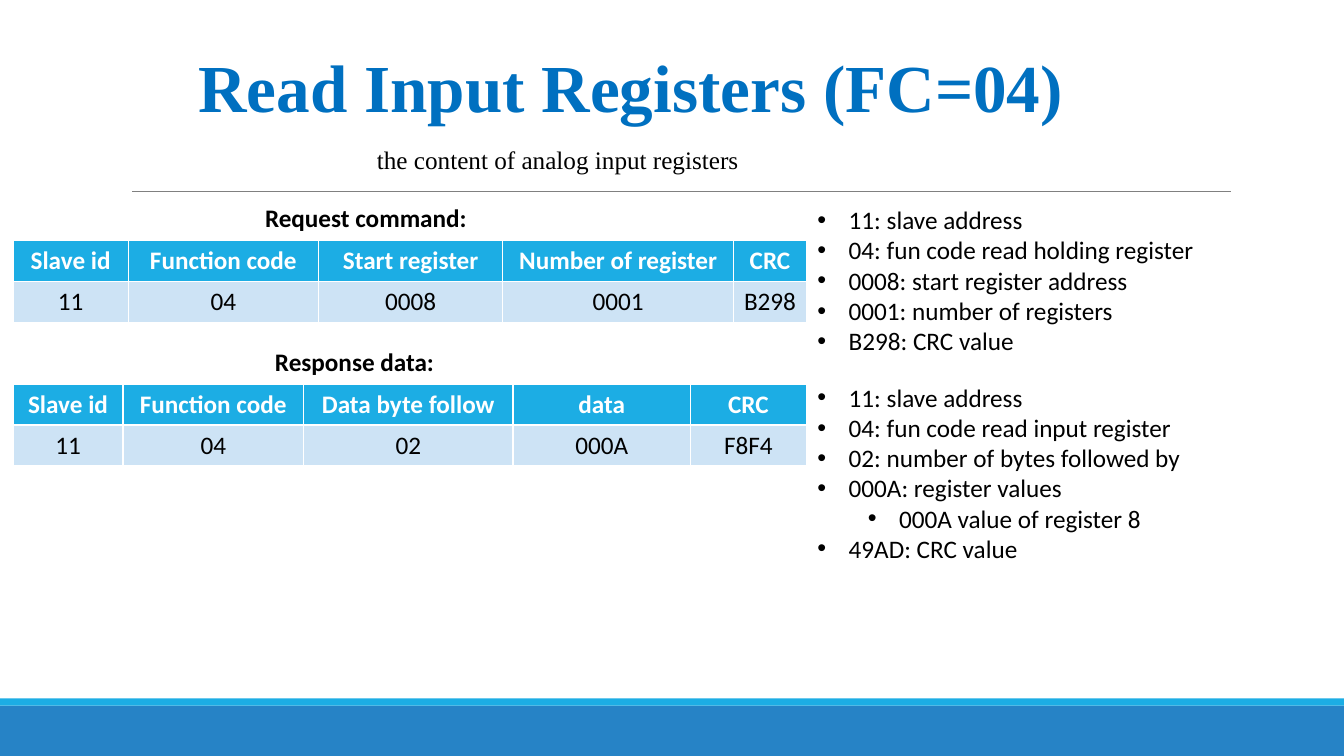
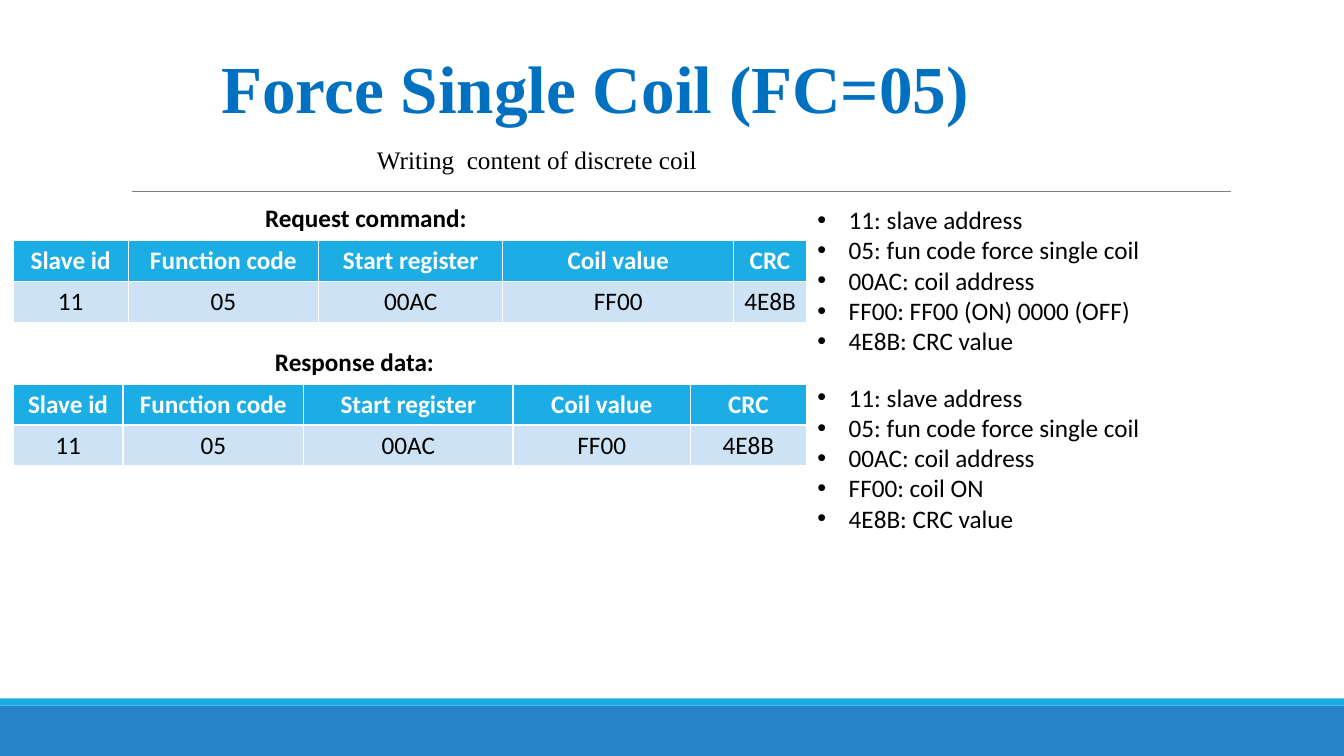
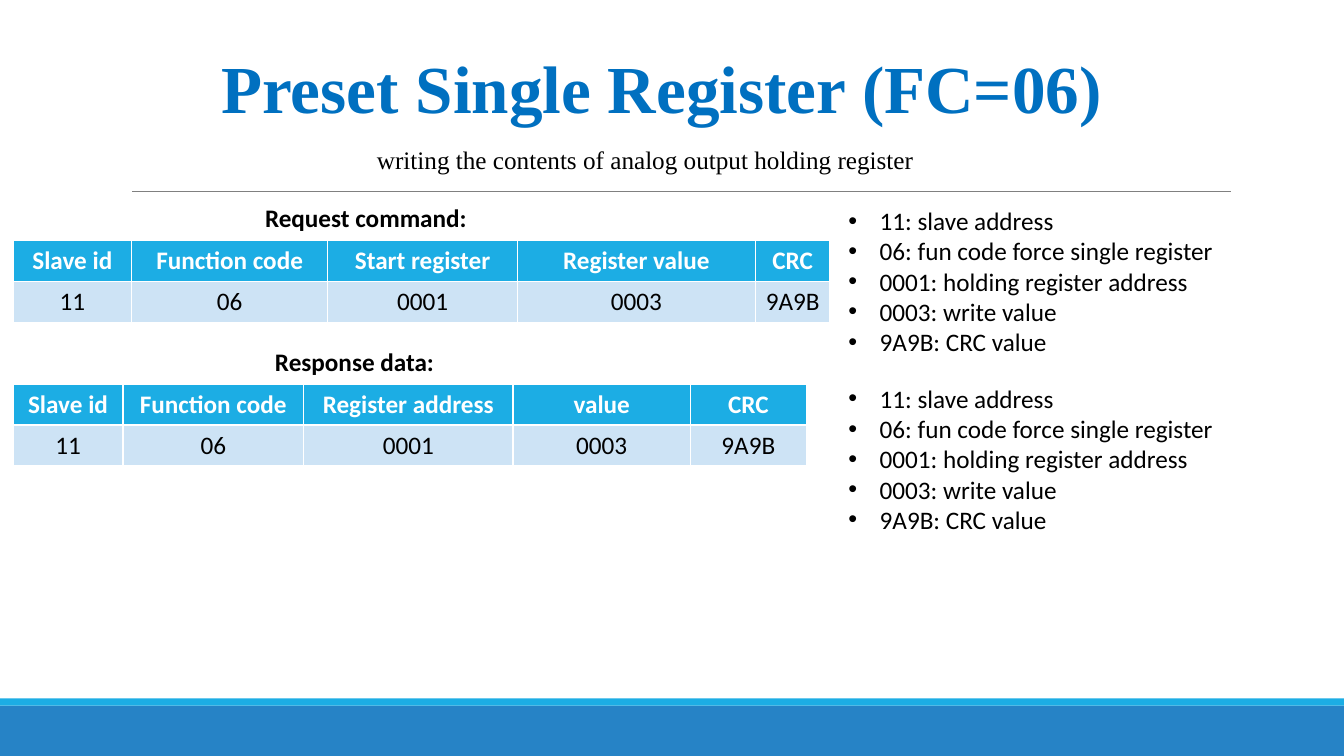
"""Build three slides on register and coil function codes."""
from lxml import etree
from pptx import Presentation
from pptx.dml.color import RGBColor
from pptx.enum.shapes import MSO_CONNECTOR, MSO_SHAPE
from pptx.enum.text import PP_ALIGN
from pptx.oxml.ns import qn
from pptx.util import Cm, Pt

RECT = MSO_SHAPE.RECTANGLE
LINE = MSO_CONNECTOR.STRAIGHT
MID = PP_ALIGN.CENTER

WIDE, HIGH = 33.87, 19.05
BLUE, CYAN, PALE = "2683C6", "1CADE4", "CDE3F5"
HEAD = dict(name="Times New Roman", size=Pt(48), bold=True, color="0070C0")
SUB = dict(name="Times New Roman", size=Pt(18), bold=False, color="000000")
BODY = dict(SUB, name="Calibri")
LABEL = dict(BODY, bold=True)
TOP = dict(LABEL, color="FFFFFF")

ASK = (2.9, 4.8, 4.64, 5.82, 1.83)
REPLY = (2.77, 4.55, 5.28, 4.47, 2.92)
INDENT, STEP = 0.79, 1.27


def tint(code):
    return RGBColor.from_string(code)


class Deck:
    def __init__(self):
        self.prs = Presentation()
        self.prs.slide_width, self.prs.slide_height = Cm(WIDE), Cm(HIGH)
        self.slide = None

    def page(self):
        self.slide = self.prs.slides.add_slide(self.prs.slide_layouts[6])
        self.band(17.78, 1.27, BLUE)
        self.band(17.6, 0.18, CYAN)
        self.rule(3.33, 31.01, 4.83)

    def band(self, top, high, code):
        shape = self.slide.shapes.add_shape(RECT, 0, Cm(top), Cm(WIDE), Cm(high))
        shape.shadow.inherit = False
        shape.fill.solid()
        shape.fill.fore_color.rgb = tint(code)
        shape.line.fill.background()

    def rule(self, start, end, top):
        line = self.slide.shapes.add_connector(LINE, Cm(start), Cm(top), Cm(end), Cm(top))
        line.line.color.rgb = tint("808080")
        line.line.width = Pt(0.5)
        etree.SubElement(line._element.spPr, qn("a:effectLst"))

    def put(self, para, text, style):
        run = para.add_run()
        run.text = text
        for key, value in style.items():
            if key == "color":
                run.font.color.rgb = tint(value)
            else:
                setattr(run.font, key, value)

    def frame(self, left, top, wide, high):
        box = self.slide.shapes.add_textbox(Cm(left), Cm(top), Cm(wide), Cm(high))
        box.text_frame.word_wrap = True
        return box.text_frame

    def text(self, left, top, wide, high, text, style):
        self.put(self.frame(left, top, wide, high).paragraphs[0], text, style)

    def table(self, top, cols, rows, scale=1):
        cols = [Cm(wide * scale) for wide in cols]
        shape = self.slide.shapes.add_table(
            len(rows), len(cols), Cm(0.33), Cm(top), sum(cols), Cm(1.03 * len(rows)))
        grid = shape.table
        for col, wide in zip(grid.columns, cols):
            col.width = wide
        for r, row in enumerate(rows):
            style, code = (BODY, PALE) if r else (TOP, CYAN)
            for c, text in enumerate(row):
                cell = grid.cell(r, c)
                cell.fill.solid()
                cell.fill.fore_color.rgb = tint(code)
                para = cell.text_frame.paragraphs[0]
                para.alignment = MID
                self.put(para, text, style)

    def bullets(self, left, top, wide, items):
        frame = self.frame(left, top, wide, 0.77 * len(items) + 0.25)
        for i, item in enumerate(items):
            level, text = item if isinstance(item, tuple) else (0, item)
            para = frame.add_paragraph() if i else frame.paragraphs[0]
            para.level = level
            props = para._p.get_or_add_pPr()
            props.set("marL", str(Cm(INDENT + STEP * level)))
            props.set("indent", str(-Cm(INDENT)))
            etree.SubElement(props, qn("a:buFont"), typeface="Arial")
            etree.SubElement(props, qn("a:buChar"), char="•")
            self.put(para, text, BODY)


PAGES = [
    dict(
        title=(4.75, 1.02, 24.33, 2.31, "Read Input Registers (FC=04)"),
        sub=(9.88, "the content of analog input registers"),
        ask=[("Slave id", "Function code", "Start register", "Number of register", "CRC"),
             ("11", "04", "0008", "0001", "B298")],
        reply=[("Slave id", "Function code", "Data byte follow", "data", "CRC"),
               ("11", "04", "02", "000A", "F8F4")],
        scale=1,
        notes=[
            (20.35, 5.03, 10.11, [
                "11: slave address", "04: fun code read holding register",
                "0008: start register address", "0001: number of registers",
                "B298: CRC value"]),
            (20.35, 9.5, 9.78, [
                "11: slave address", "04: fun code read input register",
                "02: number of bytes followed by", "000A: register values",
                (1, "000A value of register 8"), "49AD: CRC value"])]),
    dict(
        title=(5.33, 1.04, 19.38, 2.31, "Force Single Coil (FC=05)"),
        sub=(8.81, "Writing  content of discrete coil"),
        ask=[("Slave id", "Function code", "Start register", "Coil value", "CRC"),
             ("11", "05", "00AC", "FF00", "4E8B")],
        reply=[("Slave id", "Function code", "Start register", "Coil value", "CRC"),
               ("11", "05", "00AC", "FF00", "4E8B")],
        scale=1,
        notes=[
            (20.35, 5.03, 8.69, [
                "11: slave address", "05: fun code force single coil",
                "00AC: coil address", "FF00: FF00 (ON) 0000 (OFF)",
                "4E8B: CRC value"]),
            (20.35, 9.5, 8.74, [
                "11: slave address", "05: fun code force single coil",
                "00AC: coil address", "FF00: coil ON", "4E8B: CRC value"])]),
    dict(
        title=(5.33, 1.04, 23.14, 2.31, "Preset Single Register (FC=06)"),
        sub=(14.17, "writing the contents of analog output holding register"),
        ask=[("Slave id", "Function code", "Start register", "Register value", "CRC"),
             ("11", "06", "0001", "0003", "9A9B")],
        reply=[("Slave id", "Function code", "Register address", "value", "CRC"),
               ("11", "06", "0001", "0003", "9A9B")],
        scale=1.03,
        notes=[
            (21.13, top, 9.83, [
                "11: slave address", "06: fun code force single register",
                "0001: holding register address", "0003: write value",
                "9A9B: CRC value"])
            for top in (5.05, 9.53)]),
]


def main():
    deck = Deck()
    for page in PAGES:
        deck.page()
        deck.text(*page["title"], HEAD)
        wide, text = page["sub"]
        deck.text(9.25, 3.51, wide, 1.02, text, SUB)
        deck.table(6.07, ASK, page["ask"], page["scale"])
        deck.text(6.43, 4.98, 5.7, 1.02, "Request command:", LABEL)
        deck.table(9.68, REPLY, page["reply"])
        deck.text(6.68, 8.59, 4.6, 1.02, "Response data:", LABEL)
        for note in page["notes"]:
            deck.bullets(*note)
    deck.prs.save("out.pptx")


if __name__ == "__main__":
    main()
